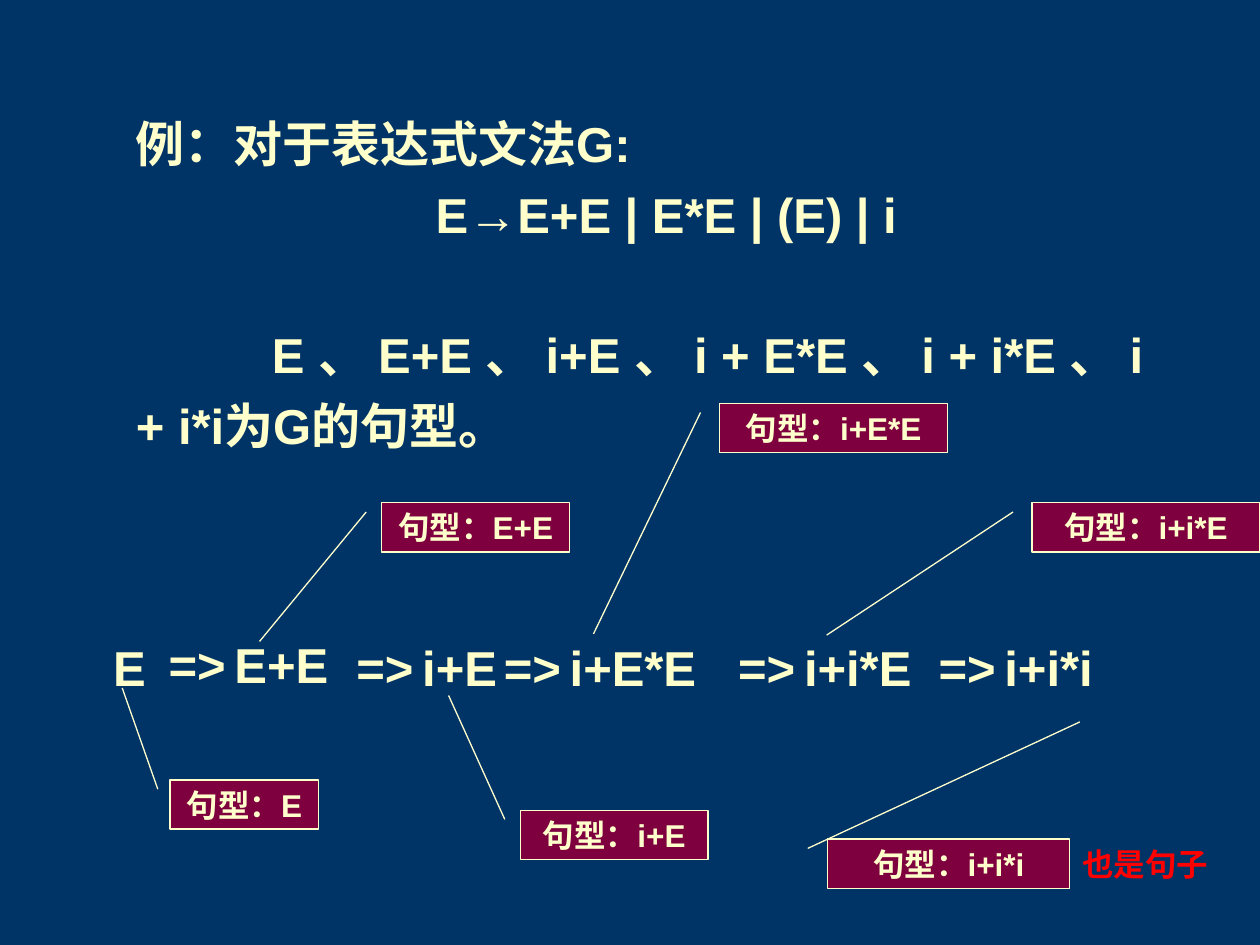
from pptx import Presentation
from pptx.dml.color import RGBColor
from pptx.enum.shapes import MSO_SHAPE
from pptx.enum.text import MSO_ANCHOR, PP_ALIGN
from pptx.util import Inches, Pt

NAVY, CREAM, MAROON, RED = "003366", "FFFFCC", "7E003F", "FF0000"

GRAMMAR_LINES = [  # text, first-line indent (inches), space before (points)
    ("例：对于表达式文法G:", 0, 0),
    ("E→E+E | E*E | (E) | i", 2.38, 0),
    ("E 、 E+E 、 i+E 、 i + E*E 、 i + i*E 、 i + i*i为G的句型。", 1.08, 40),
]
DERIVATION = [  # sentential form, left, top, width
    ("E", 0.8, 5.01, 0.46),
    ("E+E", 1.24, 4.99, 1.57),
    ("i+E", 2.73, 5.01, 1.4),
    ("i+E*E", 3.9, 5.01, 2.05),
    ("i+i*E", 5.76, 5.01, 2.05),
    ("i+i*i", 7.35, 5.01, 1.62),
]
CALLOUTS = [  # sentential form, left, top, width, pointer end (x, y)
    ("E", 1.35, 6.19, 1.18, 0.97, 5.46),
    ("E+E", 3.03, 3.99, 1.49, 2.06, 5.09),
    ("i+E", 4.13, 6.43, 1.49, 3.56, 5.52),
    ("i+E*E", 5.71, 3.2, 1.81, 4.71, 5.03),
    ("i+i*E", 8.19, 3.99, 1.81, 6.56, 5.04),
    ("i+i*i", 6.57, 6.66, 1.92, 8.57, 5.73),
]
CALLOUT_HEIGHT = 0.39


def color(value):
    return RGBColor.from_string(value)


def format_run(run, size, bold=True, font_color=CREAM, name="Arial"):
    run.font.size = Pt(size)
    run.font.bold = bold
    run.font.name = name
    run.font.color.rgb = color(font_color)


def add_text_box(slide, left, top, width, height):
    box = slide.shapes.add_textbox(Inches(left), Inches(top), Inches(width), Inches(height))
    box.text_frame.word_wrap = True
    return box.text_frame


def add_grammar(slide, left, top, width, height):
    frame = add_text_box(slide, left, top, width, height)
    for index, (text, indent, space_before) in enumerate(GRAMMAR_LINES):
        paragraph = frame.paragraphs[0] if index == 0 else frame.add_paragraph()
        paragraph.text = text
        paragraph.line_spacing = 1.2
        if space_before:
            paragraph.space_before = Pt(space_before)
        if indent:
            paragraph._p.get_or_add_pPr().set("indent", str(Inches(indent)))
        format_run(paragraph.runs[0], 28)


def add_derivation_step(slide, form, left, top, width, first):
    frame = add_text_box(slide, left, top, width, 0.57)
    parts = [(form, 28)] if first else [("=>", 28), (" ", 18), (form, 28)]
    for text, size in parts:
        run = frame.paragraphs[0].add_run()
        run.text = text
        format_run(run, size, bold=size == 28)


def add_callout(slide, form, left, top, width, end_x, end_y):
    """Add a label whose pointer ends at a slide position."""
    shape = slide.shapes.add_shape(MSO_SHAPE.LINE_CALLOUT_1, Inches(left), Inches(top),
                                   Inches(width), Inches(CALLOUT_HEIGHT))
    shape.shadow.inherit = False
    pointer = (0.188, -0.083, (end_y - top) / CALLOUT_HEIGHT, (end_x - left) / width)
    for index, value in enumerate(pointer):
        shape.adjustments[index] = value
    shape.fill.solid()
    shape.fill.fore_color.rgb = color(MAROON)
    shape.line.color.rgb = color(CREAM)
    shape.line.width = Pt(0.75)
    frame = shape.text_frame
    frame.text = f"句型：{form}"
    frame.vertical_anchor = MSO_ANCHOR.MIDDLE
    frame.paragraphs[0].alignment = PP_ALIGN.CENTER
    format_run(frame.paragraphs[0].runs[0], 18)


def add_sentence_note(slide, left, top, width, height):
    frame = add_text_box(slide, left, top, width, height)
    frame.text = "也是句子"
    format_run(frame.paragraphs[0].runs[0], 18, font_color=RED, name="Times New Roman")


def main():
    presentation = Presentation()
    presentation.slide_width, presentation.slide_height = Inches(10), Inches(7.5)
    slide = presentation.slides.add_slide(presentation.slide_layouts[6])
    slide.background.fill.solid()
    slide.background.fill.fore_color.rgb = color(NAVY)

    for index, step in enumerate(DERIVATION):
        add_derivation_step(slide, *step, first=index == 0)
    add_grammar(slide, 0.98, 0.76, 8.35, 2.9)
    for callout in CALLOUTS:
        add_callout(slide, *callout)
    add_sentence_note(slide, 8.49, 6.66, 1.35, 0.4)
    presentation.save("out.pptx")


if __name__ == "__main__":
    main()
